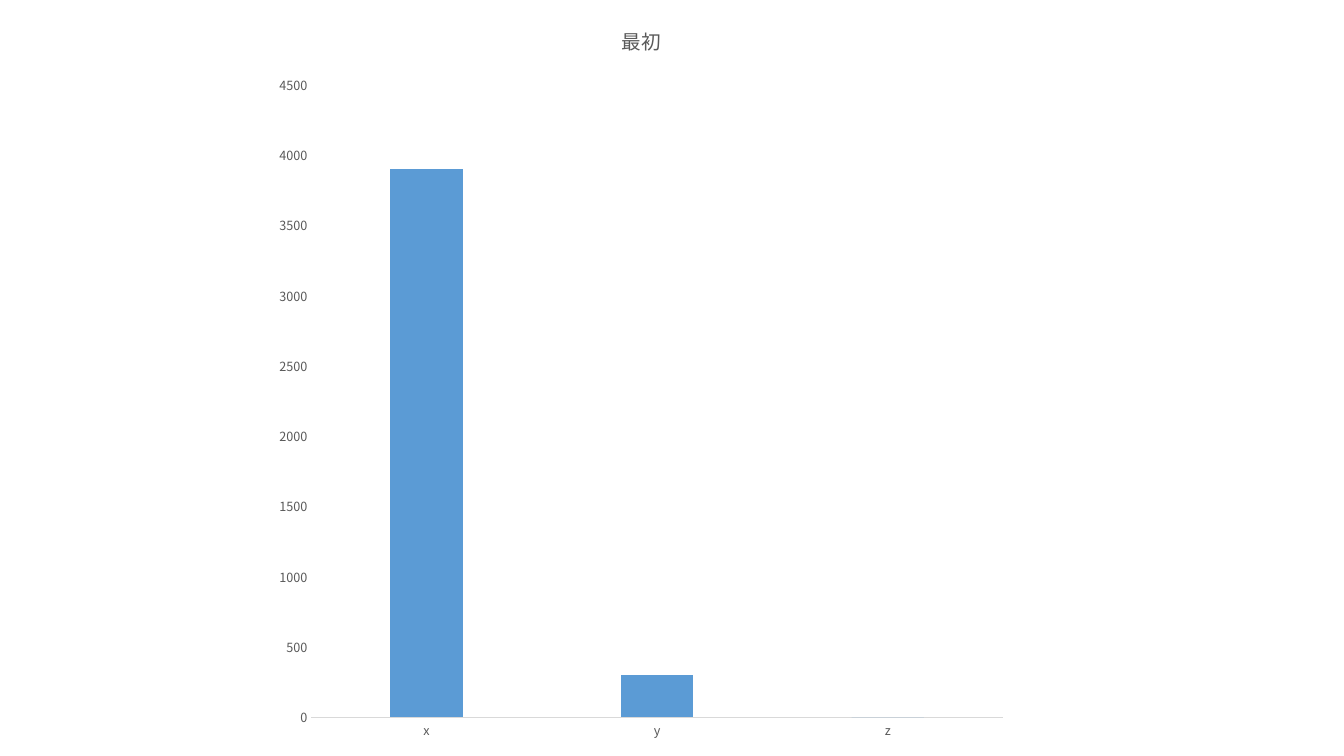
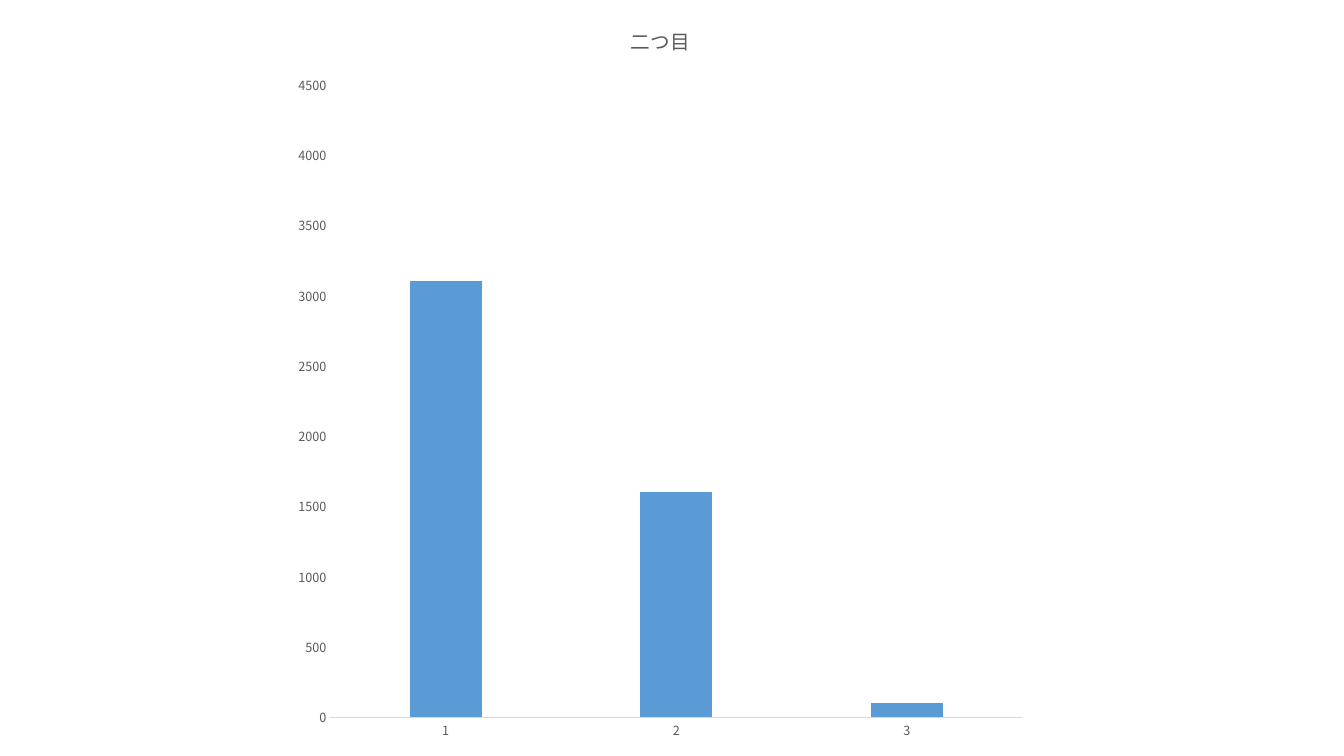
from lxml import etree
from pptx import Presentation
from pptx.chart.data import CategoryChartData
from pptx.dml.color import RGBColor
from pptx.enum.chart import XL_CHART_TYPE, XL_TICK_MARK
from pptx.oxml.ns import qn
from pptx.util import Cm, Pt

COLUMN = XL_CHART_TYPE.COLUMN_CLUSTERED
NO_TICK = XL_TICK_MARK.NONE
FONT = "Noto Sans CJK JP"
BLUE, GREY, PALE = "5B9BD5", "595959", "D9D9D9"
BLANK = 6
SIDE = 19
AXIS = {"has_major_gridlines": False, "major_tick_mark": NO_TICK,
        "minor_tick_mark": NO_TICK}
SCALE = {"minimum_scale": 0, "maximum_scale": 4500, "major_unit": 500}
BARS = {"gap_width": 219, "overlap": -27, "vary_by_categories": False}
CHARTS = [
    (6.66, "最初", ("x", "y", "z"), (3900, 300, 0)),
    (7.14, "二つ目", ("1", "2", "3"), (3100, 1600, 100)),
]


def color(code):
    return RGBColor.from_string(code)


def assign(item, values):
    for name, value in values.items():
        setattr(item, name, value)


def style(font, size):
    assign(font, {"name": FONT, "size": Pt(size), "bold": False})
    font.color.rgb = color(GREY)


def set_asian(chart):
    """Give East Asian text the same typeface as Latin text."""
    for latin in list(chart.element.iter(qn("a:latin"))):
        asian = etree.Element(qn("a:ea"), typeface=FONT)
        latin.addnext(asian)


def add_columns(slide, box, title, names, values):
    data = CategoryChartData()
    data.categories = names
    data.add_series("Series 1", values)
    chart = slide.shapes.add_chart(COLUMN, *box, data).chart
    chart.has_legend = False
    style(chart.font, 10)

    chart.has_title = True
    run = chart.chart_title.text_frame.paragraphs[0].add_run()
    run.text = title
    style(run.font, 14)
    chart.chart_title.include_in_layout = False

    for axis in (chart.category_axis, chart.value_axis):
        assign(axis, AXIS)
        style(axis.tick_labels.font, 9)
    assign(chart.value_axis, SCALE)
    chart.value_axis.format.line.fill.background()
    line = chart.category_axis.format.line
    line.color.rgb = color(PALE)
    line.width = Pt(0.75)

    plot = chart.plots[0]
    assign(plot, BARS)
    fill = plot.series[0].format.fill
    fill.solid()
    fill.fore_color.rgb = color(BLUE)
    set_asian(chart)


def main():
    deck = Presentation()
    assign(deck, {"slide_width": Cm(33.87), "slide_height": Cm(19.05)})
    for left, title, names, values in CHARTS:
        slide = deck.slides.add_slide(deck.slide_layouts[BLANK])
        box = Cm(left), Cm(0), Cm(SIDE), Cm(SIDE)
        add_columns(slide, box, title, names, values)
    deck.save("out.pptx")


if __name__ == "__main__":
    main()
